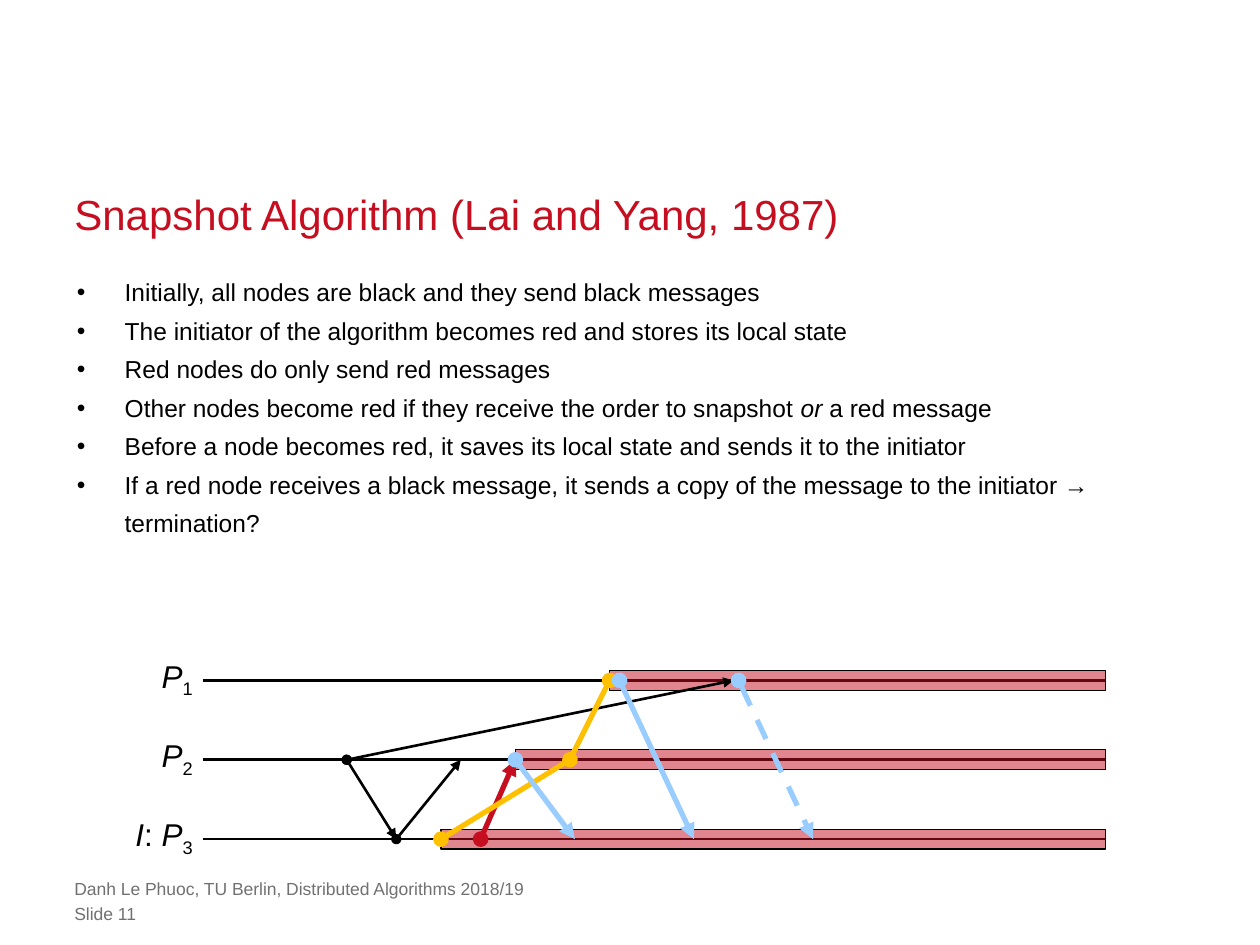
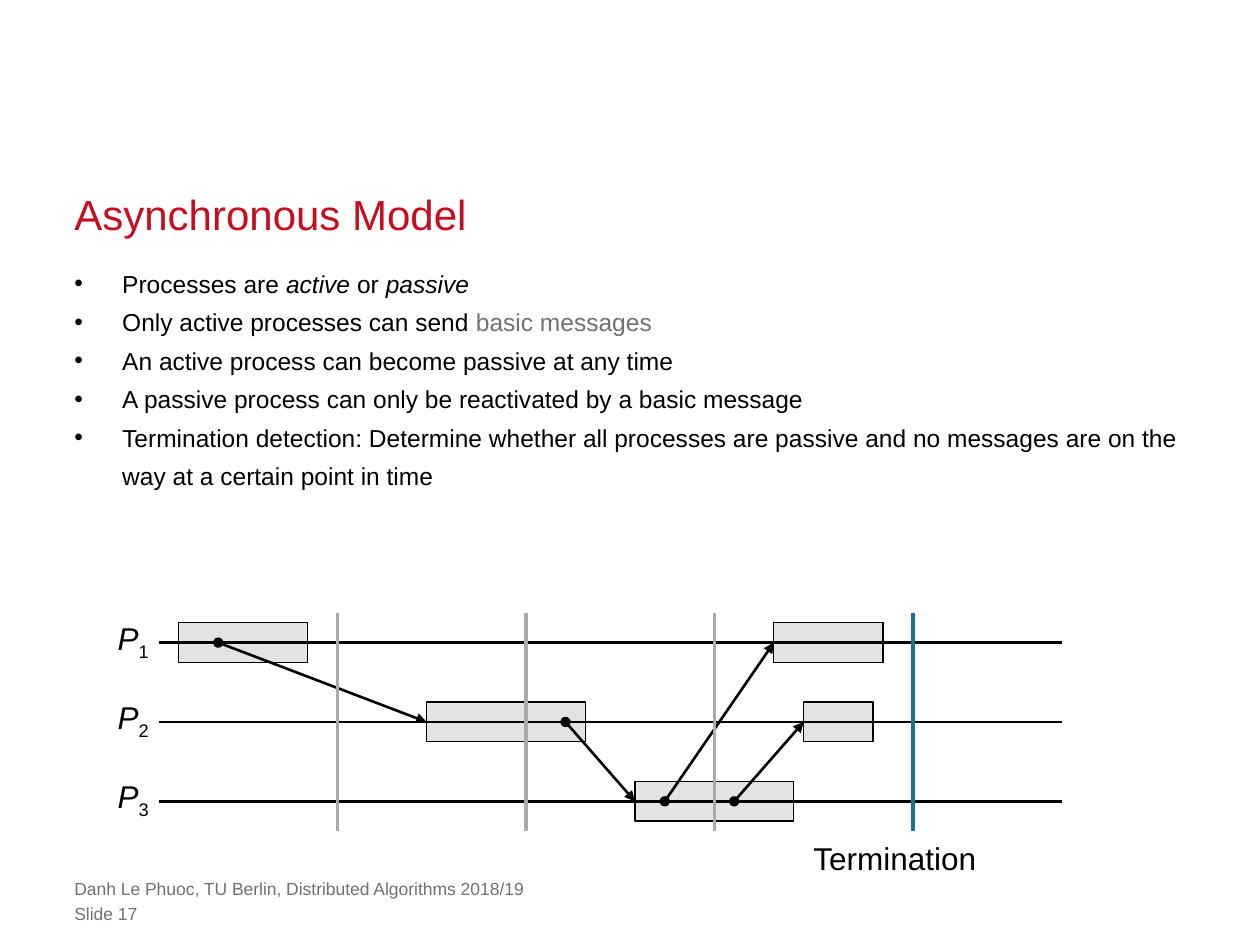
from lxml import etree
from pptx import Presentation
from pptx import util as u
from pptx.dml.color import RGBColor
from pptx.enum import dml, shapes, text
from pptx.oxml.ns import qn

RED = RGBColor(0xC5, 0x0E, 0x1F)
BLACK = RGBColor(0, 0, 0)
GREY = RGBColor(0x71, 0x71, 0x71)
BOX_GREY = RGBColor(0xE3, 0xE3, 0xE3)
CUT_GREY = RGBColor(0xAA, 0xAA, 0xAA)
TEAL = RGBColor(0x17, 0x71, 0x91)
YELLOW = RGBColor(0xFF, 0xC0, 0x00)
LIGHT_BLUE = RGBColor(0x99, 0xCC, 0xFF)

# Diagram grid: 2 mm columns, process rows 8 columns apart
CELL = u.Mm(2)
ROW = 8 * CELL
TIMELINE_COLUMNS = 91
MARGIN = u.Inches(0.59)
ITALIC = {"italic": True}
SUBSCRIPT = {"baseline": -25000}
P1, P2, P3 = [[("P", ITALIC), (digit, SUBSCRIPT)] for digit in "123"]


def write(frame, paragraphs, size, color=BLACK, spacing=None, bullet=False, align=text.PP_ALIGN.LEFT):
    """Fill a text frame; a run is a string or a (string, style) pair."""
    frame.margin_left = frame.margin_right = frame.margin_top = frame.margin_bottom = 0
    frame.word_wrap = True
    frame.auto_size = text.MSO_AUTO_SIZE.NONE
    for index, runs in enumerate(paragraphs):
        paragraph = frame.add_paragraph() if index else frame.paragraphs[0]
        paragraph.alignment = align
        paragraph.space_before = u.Pt(0)
        if spacing:
            paragraph.line_spacing = u.Pt(spacing)
        if bullet:
            properties = paragraph._p.get_or_add_pPr()
            properties.set("marL", str(u.Inches(0.38)))
            properties.set("indent", str(-u.Inches(0.38)))
            etree.SubElement(properties, qn("a:buChar")).set("char", "•")
        for item in runs:
            words, style = (item, {}) if isinstance(item, str) else item
            run = paragraph.add_run()
            run.text = words
            run.font.name = "Arial"
            run.font.size = u.Pt(size)
            run.font.italic = style.get("italic", False)
            run.font.color.rgb = style.get("color", color)
            if "baseline" in style:
                run._r.get_or_add_rPr().set("baseline", str(style["baseline"]))


def draw_line(slide, start, end, color=BLACK, width=1.5, head=None, tail=None, dash=None):
    connector = slide.shapes.add_connector(shapes.MSO_CONNECTOR.STRAIGHT, *map(round, start + end))
    connector.line.color.rgb = color
    connector.line.width = u.Pt(width)
    if dash:
        connector.line.dash_style = dash
    outline = connector.line._get_or_add_ln()
    for tag, kind in (("a:headEnd", head), ("a:tailEnd", tail)):
        if kind:
            etree.SubElement(outline, qn(tag)).set("type", kind)
    etree.SubElement(connector._element.spPr, qn("a:effectLst"))
    return connector


# Content: bars are (row, first column, last column), messages join (column, row) points
SLIDES = [
    {
        "title": "Snapshot Algorithm (Lai and Yang, 1987)",
        "number": 11,
        "body": (0.61, 2.13, 8.82, 2.95),
        "bullets": [
            ["Initially, all nodes are black and they send black messages"],
            ["The initiator of the algorithm becomes red and stores its local state"],
            ["Red nodes do only send red messages"],
            ["Other nodes become red if they receive the order to snapshot ", ("or", ITALIC), " a red message"],
            ["Before a node becomes red, it saves its local state and sends it to the initiator"],
            ["If a red node receives a black message, it sends a copy of the message to the initiator → termination?"],
        ],
        "origin": (1.61, 5.4),
        "labels": [P1, P2, [("I", ITALIC), ": "] + P3],
        "bars": [(2, 24, 91), (0, 41, 91), (1, 31.5, 91)],
        "bar_style": {"height": 2, "color": RED, "alpha": 50000, "above_lines": True},
        "messages": [
            ((28, 2), (31.5, 1), RED, 3, "oval", "triangle"),
            ((19.5, 2), (26, 1), BLACK, 1.5, "oval", "triangle"),
            ((14.5, 1), (53.5, 0), BLACK, 1.5, "oval", "triangle"),
            ((14.5, 1), (19.5, 2), BLACK, 1.5, "oval", "triangle"),
            ((24, 2), (37, 1), YELLOW, 3, "oval", "oval"),
            ((41, 0), (37, 1), YELLOW, 3, "oval", None),
            ((31.5, 1), (37.5, 2), LIGHT_BLUE, 3, "oval", "triangle"),
            ((42, 0), (49.5, 2), LIGHT_BLUE, 3, "oval", "triangle"),
            ((54, 0), (61.5, 2), LIGHT_BLUE, 3, "oval", "triangle", dml.MSO_LINE.DASH),
        ],
        "cuts": [],
    },
    {
        "title": "Asynchronous Model",
        "number": 17,
        "body": (0.59, 2.06, 9, 2.57),
        "bullets": [
            ["Processes are ", ("active", ITALIC), " or ", ("passive", ITALIC)],
            ["Only active processes can send ", ("basic messages", {"color": GREY})],
            ["An active process can become passive at any time"],
            ["A passive process can only be reactivated by a basic message"],
            ["Termination detection: Determine whether all processes are passive "
             "and no messages are on the way at a certain point in time"],
        ],
        "origin": (1.26, 5.1),
        "labels": [P1, P2, P3],
        "bars": [(1, 65, 72), (2, 48, 64), (0, 62, 73), (1, 27, 43), (0, 2, 15)],
        "bar_style": {"height": 4, "color": BOX_GREY, "alpha": None, "above_lines": False},
        "messages": [
            (start, end, BLACK, 1.5, "oval", "triangle")
            for start, end in [((6, 0), (27, 1)), ((41, 1), (48, 2)), ((51, 2), (62, 0)), ((58, 2), (65, 1))]
        ],
        "cuts": [(18, CUT_GREY), (37, CUT_GREY), (56, CUT_GREY), (76, TEAL)],
        "caption": "Termination",
    },
]

presentation = Presentation()
presentation.slide_width, presentation.slide_height = u.Inches(10), u.Inches(7.5)

for content in SLIDES:
    slide = presentation.slides.add_slide(presentation.slide_layouts[1])
    left, top = map(u.Inches, content["origin"])

    # Title and bullet list
    title, body = slide.placeholders
    title.left, title.top, title.width, title.height = MARGIN, u.Inches(1.48), u.Inches(8.82), u.Inches(0.42)
    title.text_frame.vertical_anchor = text.MSO_ANCHOR.BOTTOM
    write(title.text_frame, [[content["title"]]], 24, RED, spacing=30)
    body.left, body.top, body.width, body.height = map(u.Inches, content["body"])
    write(body.text_frame, content["bullets"], 14, spacing=22, bullet=True)

    # Footer lines
    footers = ["Danh Le Phuoc, TU Berlin, Distributed Algorithms 2018/19", f"Slide {content['number']}"]
    for index, footer in enumerate(footers):
        box = slide.shapes.add_textbox(MARGIN, u.Inches(6.97 + 0.2 * index), u.Inches(7.24), u.Inches(0.17))
        write(box.text_frame, [[footer]], 10, GREY)

    # Activity bars, remembered by the point in the middle of their left side
    style = content["bar_style"]
    bars = {}
    for row, first, last in content["bars"]:
        bar = slide.shapes.add_shape(
            shapes.MSO_SHAPE.RECTANGLE,
            round(left + first * CELL), round(top + row * ROW - style["height"] * CELL / 2),
            round((last - first) * CELL), style["height"] * CELL)
        bar.shadow.inherit = False
        bar.fill.solid()
        bar.fill.fore_color.rgb = style["color"]
        if style["alpha"]:
            fill_color = bar._element.spPr.find(qn("a:solidFill")).find(qn("a:srgbClr"))
            etree.SubElement(fill_color, qn("a:alpha")).set("val", str(style["alpha"]))
        bar.line.color.rgb = BLACK
        bar.line.width = u.Pt(0.75)
        bars[first, row] = bar

    # Process timelines with their labels
    for row, label in enumerate(content["labels"]):
        y = top + row * ROW
        timeline = draw_line(slide, (left, y), (left + TIMELINE_COLUMNS * CELL, y))
        if style["above_lines"]:
            first_bar = next(iter(bars.values()))._element
            first_bar.addprevious(timeline._element)
        box = slide.shapes.add_textbox(left - 9 * CELL, round(y - 2.4 * CELL), 8 * CELL, 4 * CELL)
        write(box.text_frame, [label], 18, align=text.PP_ALIGN.RIGHT)

    # Messages, joined to the bars that they start from or reach
    for start, end, *look in content["messages"]:
        ends = [(left + column * CELL, top + row * ROW) for column, row in (start, end)]
        message = draw_line(slide, *ends, *look)
        if start in bars:
            message.begin_connect(bars[start], 1)
        if end in bars:
            message.end_connect(bars[end], 1)

    # Vertical cuts through all processes
    for column, color in content["cuts"]:
        x = left + column * CELL
        draw_line(slide, (x, top - 3 * CELL), (x, top + 19 * CELL), color, 2)
    if "caption" in content:
        box = slide.shapes.add_textbox(left + 66 * CELL, round(top + 19.8 * CELL), 18 * CELL, 4 * CELL)
        write(box.text_frame, [[content["caption"]]], 18)

presentation.save("out.pptx")
